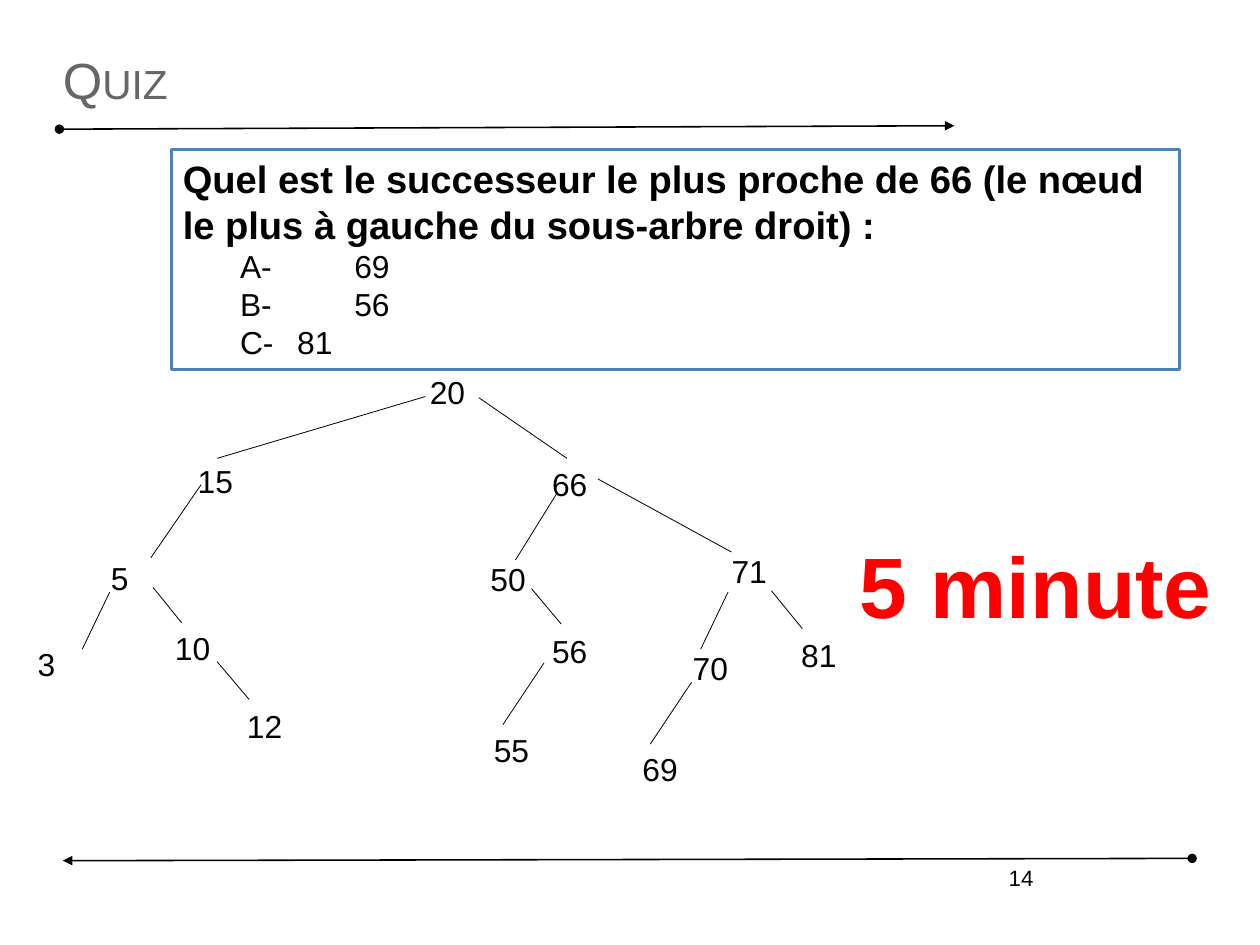
from lxml.etree import SubElement
from pptx import Presentation
from pptx.dml.color import RGBColor
from pptx.enum.shapes import MSO_CONNECTOR
from pptx.enum.text import MSO_ANCHOR, MSO_AUTO_SIZE, PP_ALIGN
from pptx.oxml.ns import qn
from pptx.util import Cm, Inches, Pt

COLORS = {
    "text": "000000",
    "title": "666666",
    "panel": "FFFFFF",
    "border": "4F81BD",
    "timer": "FF0000",
}
FONT = "Arial"

QUESTION = ("Quel est le successeur le plus proche de 66 "
            "(le nœud le plus à gauche du sous-arbre droit) :")
# Answer and its tab width
ANSWERS = [("A- \t69", 1), ("B- \t56", 1), ("C- \t81", 0.5)]

# Value, position, and the branch from its parent (start, end)
TREE = [
    (20, (3.43, 0), None),
    (15, (1.4, 0.78), ((3.39, 0.21), (1.57, 0.75))),
    (66, (4.5, 0.81), ((3.86, 0.22), (4.63, 0.75))),
    (5, (0.64, 1.63), ((1.43, 0.98), (0.99, 1.62))),
    (50, (3.96, 1.64), ((4.54, 1.06), (4.18, 1.64))),
    (71, (6.07, 1.57), ((4.9, 0.93), (6.07, 1.57))),
    (3, (0, 2.38), ((0.63, 1.92), (0.39, 2.42))),
    (10, (1.2, 2.24), ((1.01, 1.88), (1.26, 2.19))),
    (56, (4.5, 2.27), ((4.32, 1.89), (4.58, 2.2))),
    (70, (5.73, 2.42), ((6.04, 1.92), (5.8, 2.42))),
    (81, (6.68, 2.3), ((6.42, 1.91), (6.69, 2.24))),
    (12, (1.83, 2.92), ((1.57, 2.53), (1.85, 2.86))),
    (55, (3.99, 3.13), ((4.43, 2.54), (4.07, 3.08))),
    (69, (5.29, 3.3), ((5.72, 2.71), (5.36, 3.25))),
]


def color(name):
    return RGBColor.from_string(COLORS[name])


def style(paragraph, size, color_name="text", bold=False):
    font = paragraph.font
    font.name, font.size, font.bold = FONT, Pt(size), bold
    font.color.rgb = color(color_name)


def place(shape, box):
    shape.left, shape.top, shape.width, shape.height = map(Inches, box)


def set_insets(frame, horizontal, vertical):
    frame.margin_left = frame.margin_right = Inches(horizontal)
    frame.margin_top = frame.margin_bottom = Inches(vertical)


def add_label(slide, box, text, size, color_name="text", bold=False,
              insets=(0, 0), align=PP_ALIGN.LEFT, wrap=True):
    label = slide.shapes.add_textbox(*map(Inches, box))
    frame = label.text_frame
    frame.word_wrap = wrap
    set_insets(frame, *insets)
    paragraph = frame.paragraphs[0]
    paragraph.text = text
    paragraph.alignment = align
    style(paragraph, size, color_name, bold)


def add_line(slide, start, end, width, arrow=False):
    """Draw a black line; an arrow starts with a dot and ends with a triangle."""
    line = slide.shapes.add_connector(
        MSO_CONNECTOR.STRAIGHT, *map(Inches, (*start, *end)))
    line.line.color.rgb = color("text")
    line.line.width = Pt(width)
    if arrow:
        properties = line._element.spPr.find(qn("a:ln"))
        SubElement(properties, qn("a:headEnd"), type="oval")
        SubElement(properties, qn("a:tailEnd"), type="triangle")
    SubElement(line._element.spPr, qn("a:effectLst"))


def add_title(slide, box):
    title = slide.shapes.title
    place(title, box)
    frame = title.text_frame
    frame.auto_size = MSO_AUTO_SIZE.NONE
    frame.vertical_anchor = MSO_ANCHOR.MIDDLE
    set_insets(frame, 0, 0)
    paragraph = frame.paragraphs[0]
    run = paragraph.add_run()
    run.text = "Quiz"
    run._r.get_or_add_rPr().set("cap", "small")
    paragraph.alignment = PP_ALIGN.LEFT
    style(paragraph, 32, "title")


def format_plain(paragraph, margin=0, tab=1):
    """Remove the bullet and set the left margin and tab width."""
    paragraph.space_before = Pt(0)
    properties = paragraph._p.get_or_add_pPr()
    properties.set("marL", str(Inches(margin)))
    properties.set("indent", "0")
    properties.set("defTabSz", str(Inches(tab)))
    SubElement(properties, qn("a:buNone"))


def add_question(slide, box):
    panel = slide.placeholders[1]
    place(panel, box)
    panel.fill.solid()
    panel.fill.fore_color.rgb = color("panel")
    panel.line.color.rgb = color("border")
    panel.line.width = Pt(2)
    frame = panel.text_frame
    frame.auto_size = MSO_AUTO_SIZE.NONE
    frame.word_wrap = True
    set_insets(frame, 0.1, 0.05)
    question = frame.paragraphs[0]
    question.text = QUESTION
    format_plain(question)
    style(question, 24, bold=True)
    for text, tab in ANSWERS:
        answer = frame.add_paragraph()
        answer.text = text
        answer.level = 1
        format_plain(answer, 0.5, tab)
        style(answer, 20)


def add_tree(slide, box):
    left, top = box[:2]

    def shift(point):
        return left + point[0], top + point[1]

    for value, position, branch in TREE:
        if branch:
            add_line(slide, *map(shift, branch), 0.5)
        add_label(slide, (*shift(position), 0.35, 0.37), str(value), 20)


def add_footer(slide, box):
    left, top, width, height = box
    add_line(slide, (left + width, top), (left, top + 0.02), 1, arrow=True)
    add_label(slide, (left + 6.02, top, 2.57, height), "14", 14,
              insets=(0.1, 0.05), align=PP_ALIGN.RIGHT)


def build_quiz_slide(presentation):
    slide = presentation.slides.add_slide(presentation.slide_layouts[1])
    add_line(slide, (0.52, 1.13), (8.35, 1.1), 1, arrow=True)
    add_title(slide, (0.55, 0.33, 9.92, 0.72))
    add_question(slide, (1.5, 1.31, 8.82, 1.92))
    add_tree(slide, (0.33, 3.26, 7.03, 3.67))
    add_label(slide, (7.42, 4.61, 3.32, 1.01), "5 minute", 54, "timer",
              bold=True, insets=(0.1, 0.05), wrap=False)
    add_footer(slide, (0.55, 7.51, 9.88, 0.57))


def main():
    presentation = Presentation()
    presentation.slide_width = Cm(28)
    presentation.slide_height = Cm(21)
    build_quiz_slide(presentation)
    presentation.save("out.pptx")


if __name__ == "__main__":
    main()
